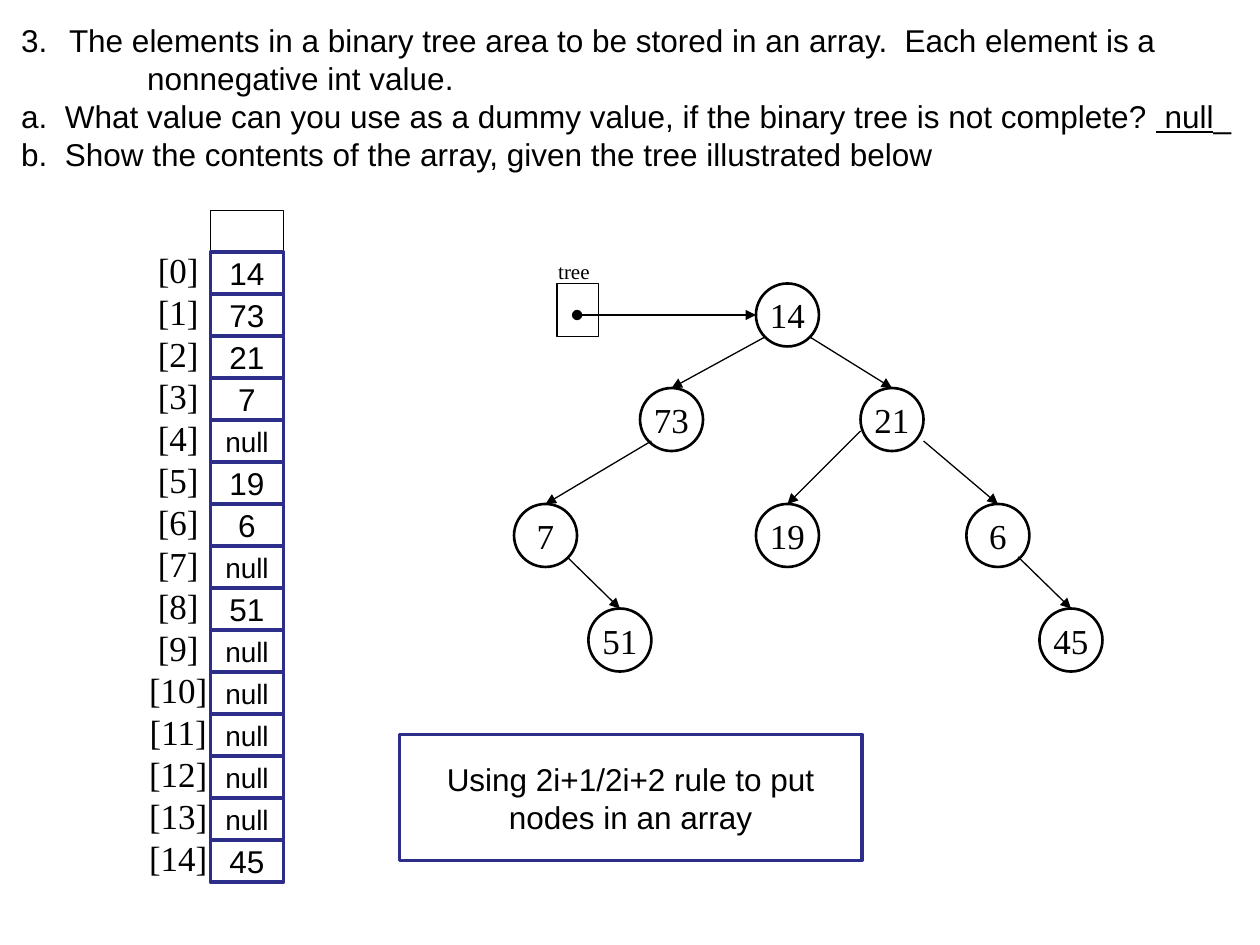
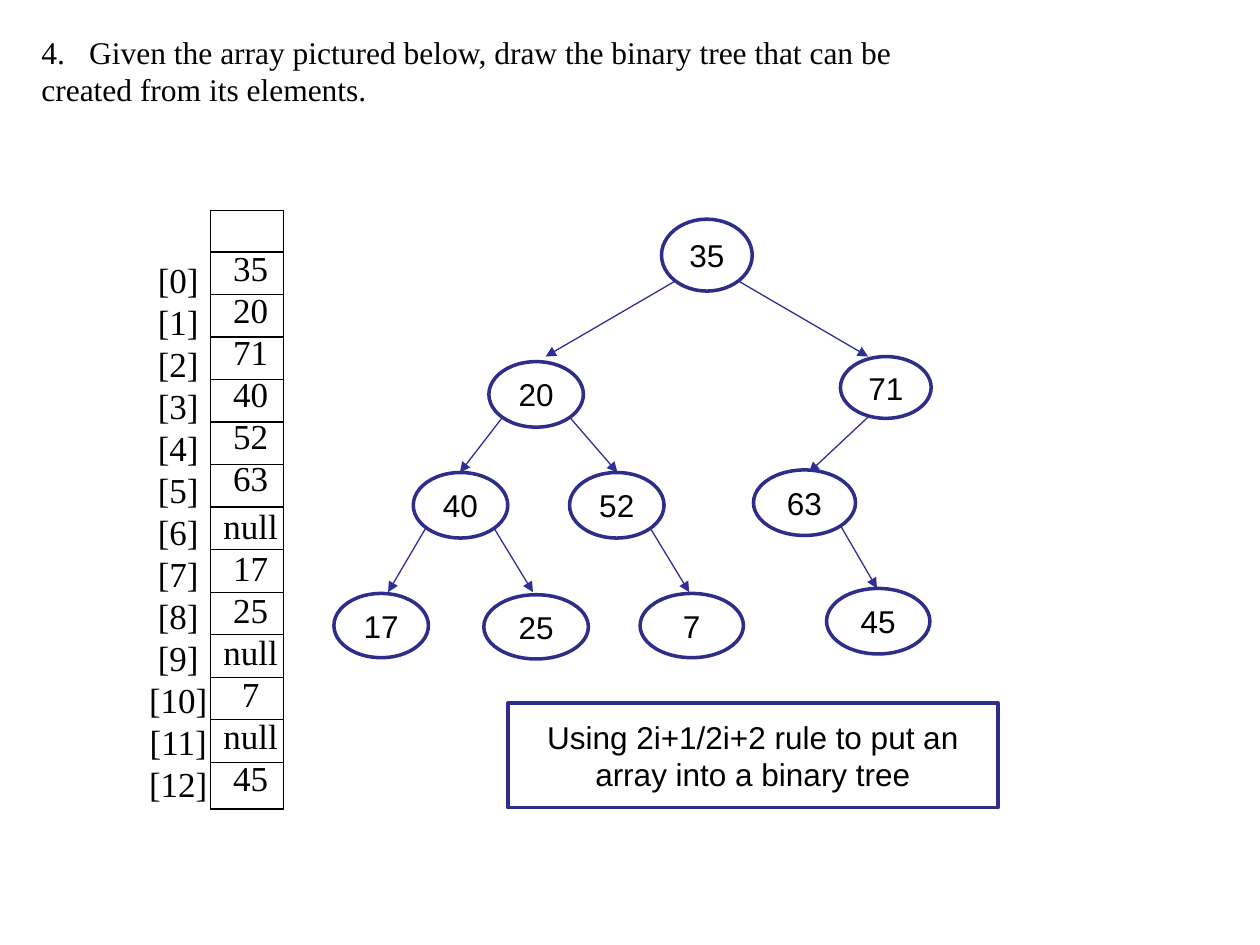
from lxml import etree
from pptx import Presentation
from pptx.dml.color import RGBColor
from pptx.enum.shapes import MSO_CONNECTOR, MSO_SHAPE
from pptx.enum.text import MSO_ANCHOR, PP_ALIGN
from pptx.oxml.ns import qn
from pptx.util import Inches, Pt

RECT, OVAL, STRAIGHT = MSO_SHAPE.RECTANGLE, MSO_SHAPE.OVAL, MSO_CONNECTOR.STRAIGHT
LEFT, CENTER = PP_ALIGN.LEFT, PP_ALIGN.CENTER
TOP, MIDDLE = MSO_ANCHOR.TOP, MSO_ANCHOR.MIDDLE
BLACK = RGBColor(0x00, 0x00, 0x00)
WHITE = RGBColor(0xFF, 0xFF, 0xFF)
NAVY = RGBColor(0x2D, 0x2D, 0x8A)
ARROW_BLUE = RGBColor(0x2F, 0x2F, 0x98)
SANS, SERIF = "Arial", "Times New Roman"

# Styles: boxes and nodes
NAVY_BOX = dict(fill=WHITE, color=NAVY, width=2, font=SANS, size=18)
PLAIN_NODE = dict(color=BLACK, width=1.5, font=SERIF, size=20)
FRAME = dict(color=BLACK, width=0.75)
LABELS = dict(font=SERIF, size=20)

# Array column
COL_X, COL_W, COL_TOP, FIRST_ROW = 1.67, 0.58, 1.67, 2


def add_box(s, kind, at, lines=(), font=SANS, size=18, fill=None, color=None,
            width=1, align=CENTER, wrap=False):
    """Add a preset shape, or a text box if kind is None; a line is a list of runs."""
    at = [Inches(v) for v in at]
    if kind is None:
        sp = s.shapes.add_textbox(*at)
    else:
        sp = s.shapes.add_shape(kind, *at)
        sp.shadow.inherit = False
        sp.line.color.rgb = color
        sp.line.width = Pt(width)
        if fill is None:
            sp.fill.background()
        else:
            sp.fill.solid()
            sp.fill.fore_color.rgb = fill
    tf = sp.text_frame
    tf.word_wrap = wrap
    tf.vertical_anchor = TOP if kind is None else MIDDLE
    for i, runs in enumerate(lines):
        p = tf.paragraphs[0] if i == 0 else tf.add_paragraph()
        p.alignment = align
        p.line_spacing = Pt(size * 1.2)
        for text in [runs] if isinstance(runs, str) else runs:
            r = p.add_run()
            r.text = text
            r.font.name, r.font.size, r.font.color.rgb = font, Pt(size), BLACK
    return sp


def add_line(s, x1, y1, x2, y2, color=BLACK, **ends):
    """Add a thin line; ends may name headEnd and tailEnd arrowheads."""
    c = s.shapes.add_connector(STRAIGHT, *[Inches(v) for v in (x1, y1, x2, y2)])
    c.line.color.rgb = color
    c.line.width = Pt(0.75)
    ln = c.line._get_or_add_ln()
    for end, head in ends.items():
        etree.SubElement(ln, qn("a:" + end), type=head)
    etree.SubElement(c._element.spPr, qn("a:effectLst"))


store_tree = dict(
    title_at=(0.07, 0.12, 9.93, 1.31), title_font=SANS, number=3,
    title=["The elements in a binary tree area to be stored in an array.  Each element is a ",
           "nonnegative int value.",
           ["a.  What value can you use as a dummy value, if the binary tree is not complete? ",
            " null", "_"],
           "b.  Show the contents of the array, given the tree illustrated below"],
    indents={0: (0.38, -0.38), 1: (1.38, -0.38), 2: (0.38, -0.38), 3: (0.38, -0.38)},
    count=15, row=1 / 3, col_h=5.33, labels_y=1.92,
    node_style=PLAIN_NODE, arrow=BLACK,
    nodes=[(label, x, y, 0.5, 0.5) for label, x, y in [
        ("14", 6, 2.25), ("73", 5.08, 3.08), ("21", 6.83, 3.08), ("7", 4.08, 4),
        ("51", 4.67, 4.83), ("19", 6, 4), ("6", 7.67, 4), ("45", 8.25, 4.83)]],
    edges=[(6.08, 2.67, 5.33, 3.08), (6.42, 2.67, 7.08, 3.08), (5.17, 3.5, 4.33, 4),
           (6.83, 3.42, 6.25, 4), (4.5, 4.42, 4.92, 4.83), (7.33, 3.5, 7.92, 4),
           (8.08, 4.42, 8.5, 4.83)],
    note="Using 2i+1/2i+2 rule to put nodes in an array", note_at=(3.17, 5.83, 3.67, 1))

draw_tree = dict(
    title_at=(0.23, 0.21, 7.02, 0.71), title_font=SERIF, number=4,
    title=["Given the array pictured below, draw the binary tree that can be",
           "created from its elements."],
    indents={0: (0.38, -0.38)},
    count=13, row=0.3375, col_h=4.75, labels_y=2,
    node_style=NAVY_BOX, arrow=ARROW_BLUE,
    nodes=[("35", 5.25, 1.74, 0.72, 0.57), ("20", 3.88, 2.87, 0.75, 0.52),
           ("71", 6.67, 2.83, 0.72, 0.49), ("40", 3.28, 3.75, 0.75, 0.52),
           ("52", 4.52, 3.75, 0.75, 0.52), ("63", 5.98, 3.73, 0.81, 0.52),
           ("17", 2.65, 4.71, 0.75, 0.51), ("25", 3.84, 4.72, 0.83, 0.51),
           ("7", 5.08, 4.71, 0.82, 0.51), ("45", 6.56, 4.67, 0.82, 0.52)],
    edges=[(5.36, 2.23, 4.33, 2.83), (5.86, 2.23, 6.89, 2.83), (3.99, 3.31, 3.65, 3.75),
           (4.52, 3.31, 4.9, 3.75), (6.89, 3.31, 6.42, 3.75), (3.38, 4.19, 3.08, 4.7),
           (3.92, 4.19, 4.23, 4.7), (5.16, 4.19, 5.47, 4.7), (6.67, 4.17, 6.96, 4.67)],
    note="Using 2i+1/2i+2 rule to put an array into a binary tree",
    note_at=(4.03, 5.58, 3.89, 0.83))

prs = Presentation()
prs.slide_width, prs.slide_height = Inches(10), Inches(7.5)
slides, titles = [], []

# Parts that both exercises share
for d in (store_tree, draw_tree):
    s = prs.slides.add_slide(prs.slide_layouts[6])
    slides.append(s)

    # Numbered question
    sp = add_box(s, None, d["title_at"], d["title"], font=d["title_font"],
                 align=LEFT, wrap=True)
    titles.append(sp)
    paragraphs = sp.text_frame.paragraphs
    for i, (margin, indent) in d["indents"].items():
        pPr = paragraphs[i]._p.get_or_add_pPr()
        pPr.set("marL", str(Inches(margin)))
        pPr.set("indent", str(Inches(indent)))
    etree.SubElement(paragraphs[0]._p.get_or_add_pPr(), qn("a:buAutoNum"),
                     type="arabicPeriod", startAt=str(d["number"]))

    # Array column with index labels
    add_box(s, RECT, (COL_X, COL_TOP, COL_W, d["col_h"]), **FRAME)
    add_box(s, None, (1.08, d["labels_y"], 0.67, d["count"] / 3 + 0.1),
            [f"[{i}]" for i in range(d["count"])], **LABELS)
    for i in range(d["count"]):
        y = FIRST_ROW + i * d["row"]
        add_line(s, COL_X, y, COL_X + COL_W, y)

    # Tree: arrows under the nodes
    for edge in d["edges"]:
        add_line(s, *edge, color=d["arrow"], tailEnd="triangle")
    for label, *at in d["nodes"]:
        add_box(s, OVAL, at, [label], **d["node_style"])

    # Rule note
    add_box(s, RECT, d["note_at"], [d["note"]], wrap=True, **NAVY_BOX)

# Exercise 3: underlined answer, array cells, tree pointer
s = slides[0]
titles[0].text_frame.paragraphs[2].runs[1].font.underline = True
cells = ["14", "73", "21", "7", "null", "19", "6", "null", "51"] + ["null"] * 5 + ["45"]
for i, value in enumerate(cells):
    style = dict(NAVY_BOX, size=16 if value == "null" else 18)
    add_box(s, RECT, (COL_X, FIRST_ROW + i / 3, COL_W, 1 / 3), [value], **style)
add_box(s, RECT, (4.42, 2.25, 0.33, 0.42), **FRAME)
add_line(s, 4.58, 2.5, 6, 2.5, headEnd="oval", tailEnd="triangle")
add_box(s, None, (4.33, 2, 0.45, 0.3), ["tree"], font=SERIF, size=12)

# Exercise 4: array values as one column of text
values = ["35", "20", "71", "40", "52", "63", "null", "17", "25", "null", "7", "null", "45"]
sp = add_box(slides[1], None, (1.67, 1.91, 0.64, 4.48), values, **LABELS)
sp.text_frame.paragraphs[values.index("null")].space_before = Pt(3)

prs.save("out.pptx")
